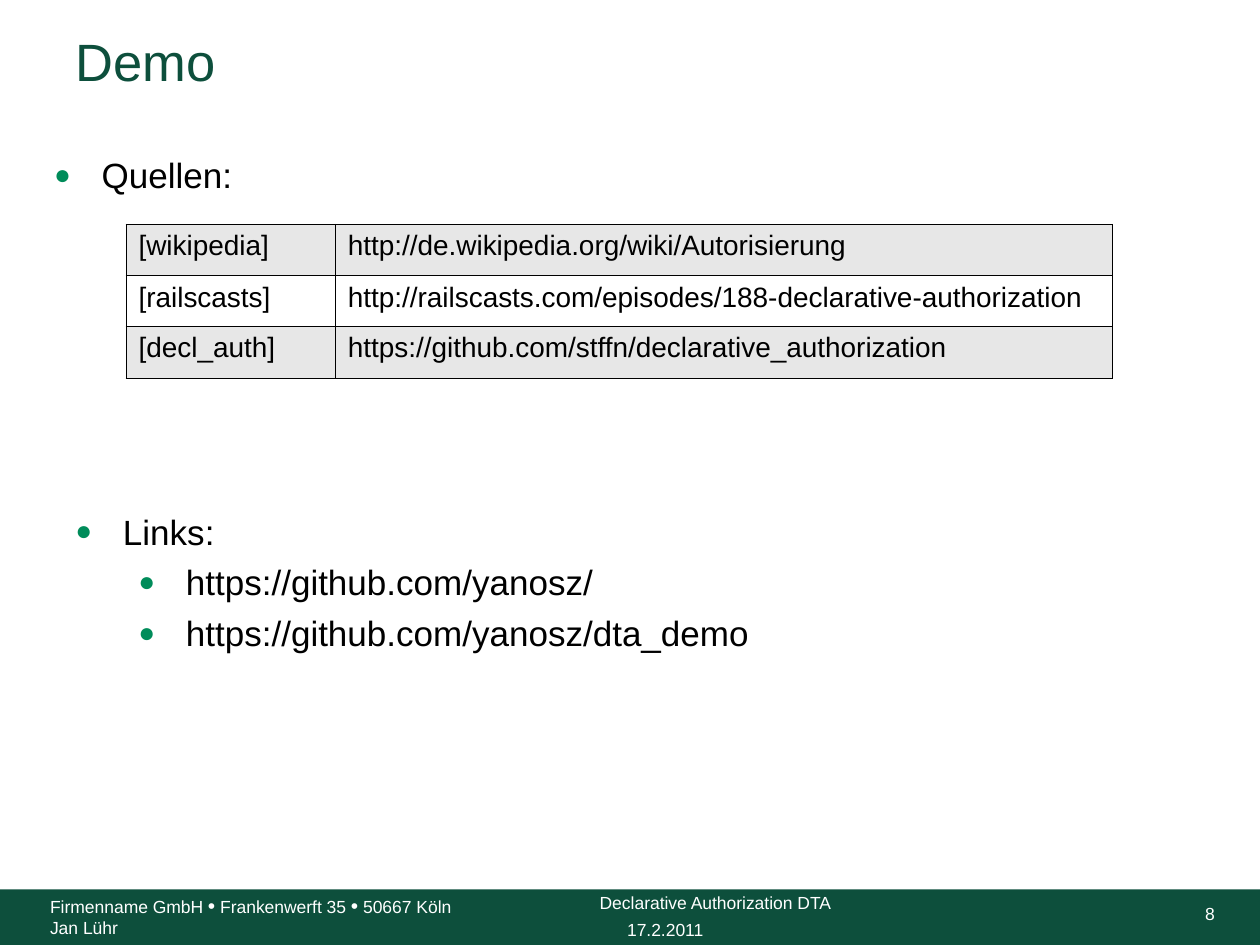
import pptx
import pptx.util
import pptx.dml.color
import pptx.enum.shapes
import pptx.enum.text
import pptx.oxml
import pptx.oxml.ns

Cm = pptx.util.Cm
Pt = pptx.util.Pt
RGBColor = pptx.dml.color.RGBColor
ALIGN = pptx.enum.text.PP_ALIGN
ANCHOR = pptx.enum.text.MSO_ANCHOR

GREEN = RGBColor(0x0D, 0x4F, 0x3C)
LEAF = RGBColor(0x00, 0x8C, 0x5A)
GREY = RGBColor(0xE7, 0xE7, 0xE7)
WHITE = RGBColor(0xFF, 0xFF, 0xFF)
BLACK = RGBColor(0, 0, 0)
NS = pptx.oxml.ns.nsdecls("a")


def write(para, text, size=20, color=BLACK, align=None, level=None, dot=None):
    """Fill a paragraph; a level makes it a list item, dot sizes inline bullets."""
    if level is not None:
        props = para._p.get_or_add_pPr()
        props.set("marL", str(Cm(0.96 + 1.27 * level)))
        props.set("indent", str(-Cm(0.96)))
        for mark in (f'<a:buClr {NS}><a:srgbClr val="{LEAF}"/></a:buClr>',
                     f'<a:buSzPct {NS} val="80000"/>',
                     f'<a:buFont {NS} typeface="Arial"/>',
                     f'<a:buChar {NS} char="●"/>'):
            props.append(pptx.oxml.parse_xml(mark))
        para.level = level
    if align is not None:
        para.alignment = align
    para.font.size = Pt(size)
    parts = text.replace("•", "|•|").split("|") if dot else [text]
    for part in parts:
        run = para.add_run()
        run.text = part
        run.font.name = "Arial"
        run.font.size = Pt(dot if part == "•" else size)
        run.font.color.rgb = color


def add_box(left, top, width, height, anchor=ANCHOR.TOP):
    """Add a wrapping text box and return its frame."""
    frame = slide.shapes.add_textbox(Cm(left), Cm(top), Cm(width), Cm(height)).text_frame
    frame.word_wrap = True
    frame.vertical_anchor = anchor
    return frame


deck = pptx.Presentation()
deck.slide_width, deck.slide_height = Cm(25.4), Cm(19.05)
slide = deck.slides.add_slide(deck.slide_layouts[5])

# Footer band
band = slide.shapes.add_shape(pptx.enum.shapes.MSO_SHAPE.RECTANGLE,
                              Cm(0), Cm(17.93), Cm(25.4), Cm(1.12))
band.shadow.inherit = False
band.fill.solid()
band.fill.fore_color.rgb = GREEN
band.line.fill.background()

# Footer texts
frame = add_box(12.37, 18.39, 2.08, 0.69, ANCHOR.MIDDLE)
write(frame.paragraphs[0], "17.2.2011", 10, WHITE, ALIGN.CENTER)
frame = add_box(22.63, 18.08, 2.11, 0.69, ANCHOR.MIDDLE)
write(frame.paragraphs[0], "8", 10, WHITE, ALIGN.RIGHT)
frame = add_box(0.76, 17.86, 9, 1.19)
write(frame.paragraphs[0], "Firmenname GmbH • Frankenwerft 35 • 50667 Köln", 10, WHITE, dot=12)
write(frame.add_paragraph(), "Jan Lühr", 10, WHITE)
frame = add_box(11.84, 17.86, 5.5, 0.69)
write(frame.paragraphs[0], "Declarative Authorization DTA", 10, WHITE)

# Title
title = slide.shapes.title
title.left, title.top, title.width, title.height = Cm(1.27), Cm(0.33), Cm(15.42), Cm(1.96)
title.text_frame.vertical_anchor = ANCHOR.MIDDLE
write(title.text_frame.paragraphs[0], "Demo", 30, GREEN, ALIGN.LEFT)
title.text_frame.paragraphs[0].line_spacing = 0.9

# Table of sources
rows = [("[wikipedia]", "http://de.wikipedia.org/wiki/Autorisierung"),
        ("[railscasts]", "http://railscasts.com/episodes/188-declarative-authorization"),
        ("[decl_auth]", "https://github.com/stffn/declarative_authorization")]
table = slide.shapes.add_table(len(rows), 2, Cm(2.54), Cm(4.52), Cm(19.89), Cm(3.1)).table
table.columns[0].width, table.columns[1].width = Cm(4.22), Cm(15.67)
for r, row in enumerate(rows):
    table.rows[r].height = Cm(1.02 if r == 1 else 1.04)
    for c, text in enumerate(row):
        cell = table.cell(r, c)
        props = cell._tc.get_or_add_tcPr()
        for side in ("lnL", "lnR", "lnT", "lnB"):
            props.append(pptx.oxml.parse_xml(
                f'<a:{side} {NS} w="{Pt(0.45)}"><a:solidFill>'
                f'<a:srgbClr val="{BLACK}"/></a:solidFill></a:{side}>'))
        cell.fill.solid()
        cell.fill.fore_color.rgb = WHITE if r % 2 else GREY
        write(cell.text_frame.paragraphs[0], text, 16)

# Lists
frame = add_box(0.84, 2.97, 12.7, 1.27)
write(frame.paragraphs[0], "Quellen:", level=0)
frame = add_box(1.27, 10.16, 21.16, 7.19)
write(frame.paragraphs[0], "Links:", level=0)
for link in ("https://github.com/yanosz/", "https://github.com/yanosz/dta_demo"):
    para = frame.add_paragraph()
    write(para, link, level=1)
    para.space_before = Pt(5)

deck.save("out.pptx")
